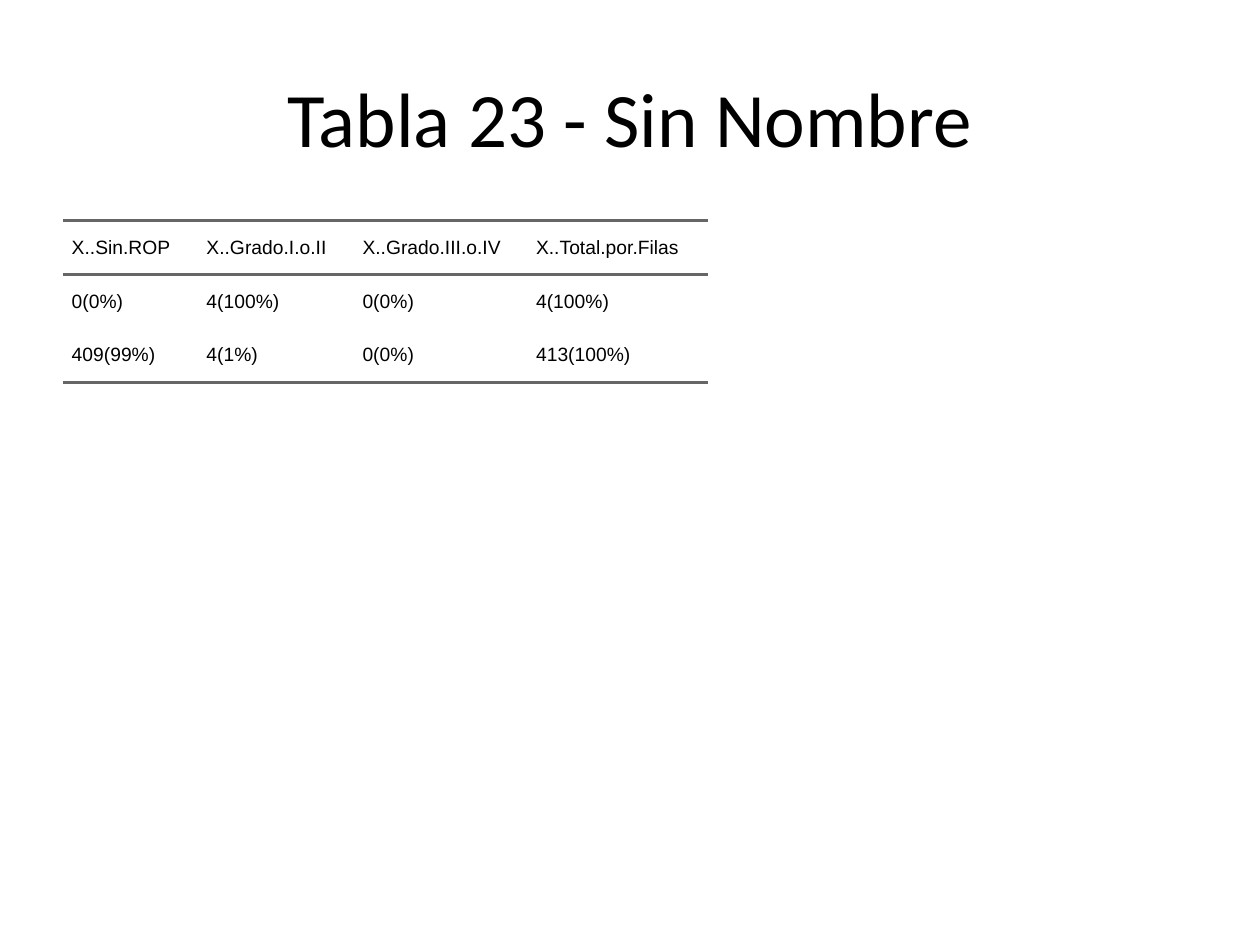
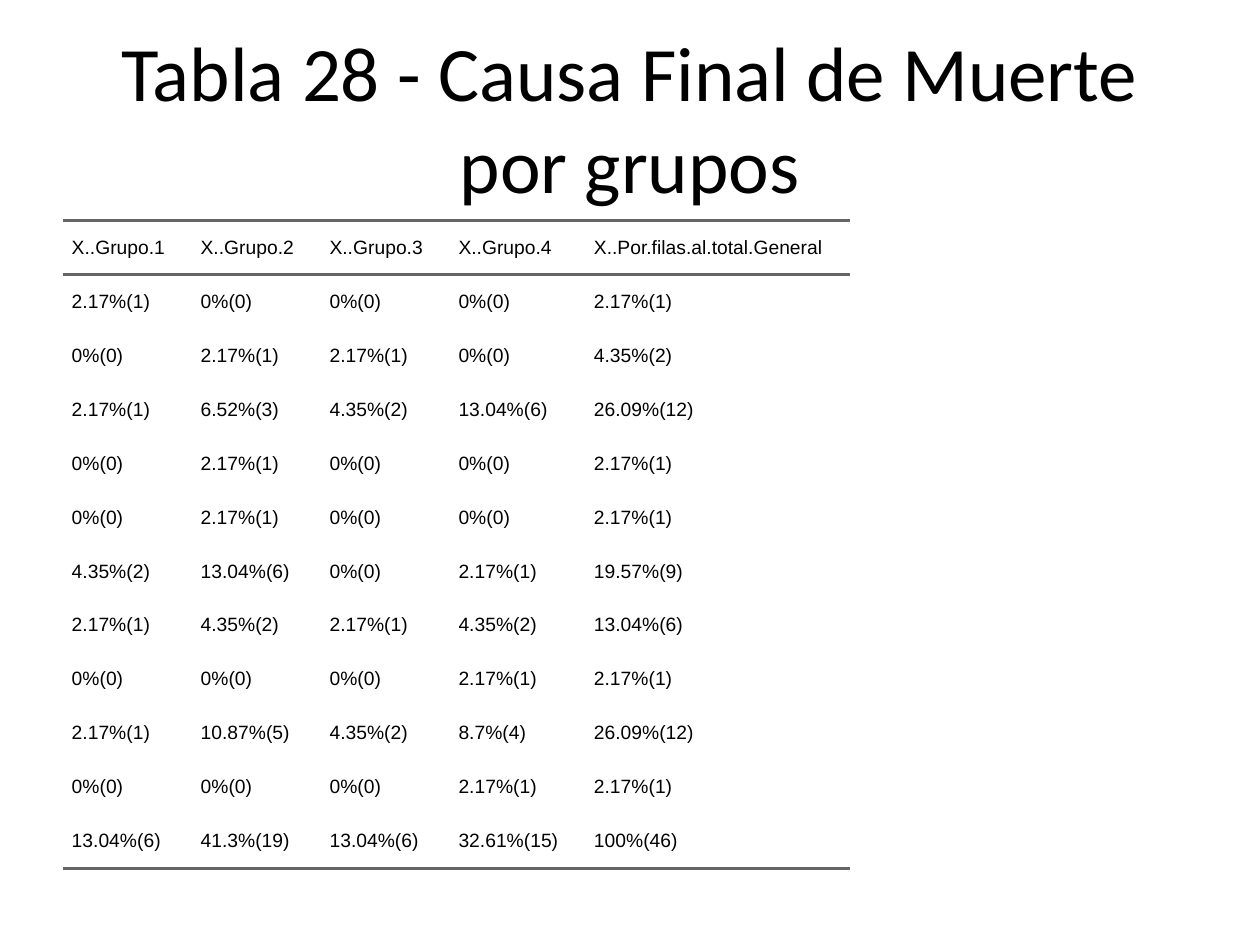
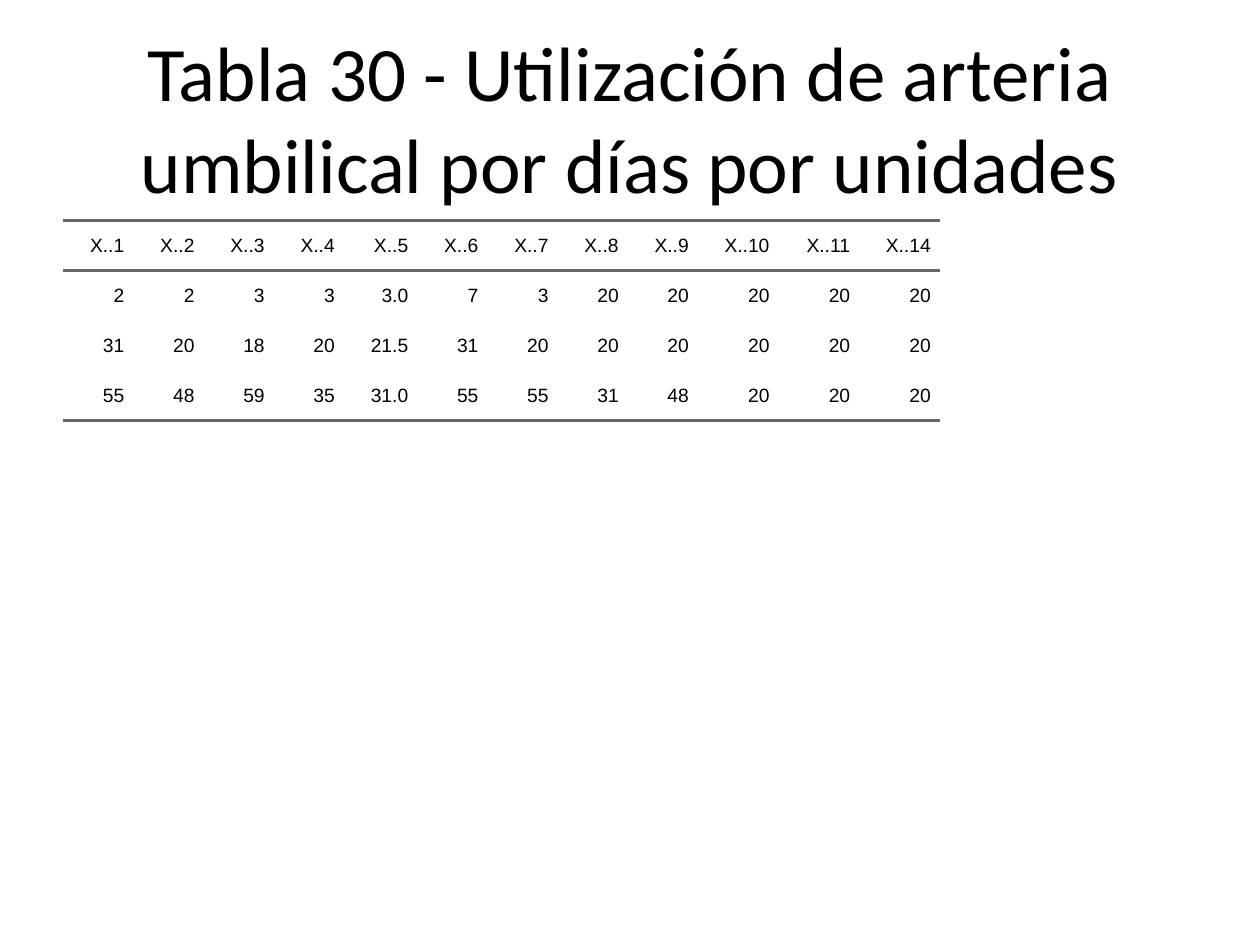
from pptx import Presentation
from pptx.dml.color import RGBColor
from pptx.enum.text import MSO_ANCHOR, PP_ALIGN
from pptx.oxml import parse_xml
from pptx.oxml.ns import nsdecls
from pptx.util import Pt

LEFT, CENTER, RIGHT = PP_ALIGN.LEFT, PP_ALIGN.CENTER, PP_ALIGN.RIGHT
MIDDLE = MSO_ANCHOR.MIDDLE
TITLE_ONLY = 5


def color(value):
    return RGBColor.from_string(value)


def write(frame, text, font="Arial", size=11, ink="000000", align=LEFT, space=0, margin=0):
    para = frame.paragraphs[0]
    para.alignment = align
    para.space_before = para.space_after = Pt(space)
    if margin:
        properties = para._p.get_or_add_pPr()
        for name in ("marL", "marR"):
            properties.set(name, str(Pt(margin)))
        properties.set("indent", "0")
    span = para.add_run()
    span.text = text
    span.font.name = font
    span.font.size = Pt(size)
    span.font.bold = False
    span.font.color.rgb = color(ink)


class Report:
    rule_color = "666666"
    rule_width = 2
    left, width = 36, 648
    title_top, title_height = 21.6, 90
    table_top, table_height = 126, 356.4

    def __init__(self):
        self.deck = Presentation()
        self.deck.slide_width, self.deck.slide_height = Pt(720), Pt(540)
        self.page = None

    def add_page(self, title):
        self.page = self.deck.slides.add_slide(self.deck.slide_layouts[TITLE_ONLY])
        box = self.page.shapes.title
        box.left, box.top = Pt(self.left), Pt(self.title_top)
        box.width, box.height = Pt(self.width), Pt(self.title_height)
        box.text_frame.word_wrap = True
        box.text_frame.vertical_anchor = MIDDLE
        write(box.text_frame, title, font="Calibri", size=44, align=CENTER)

    def add_borders(self, cell, ruled):
        properties = cell._tc.get_or_add_tcPr()
        solid = f'<a:solidFill><a:srgbClr val="{self.rule_color}"/></a:solidFill>'
        for index, side in enumerate("LRTB"):
            paint = solid if side in ruled else "<a:noFill/>"
            width = Pt(self.rule_width) if side in ruled else 0
            line = f'<a:ln{side} {nsdecls("a")} w="{width}">{paint}</a:ln{side}>'
            properties.insert(index, parse_xml(line))

    def add_table(self, rows, widths, row_height, align=LEFT):
        frame = self.page.shapes.add_table(
            len(rows), len(widths), Pt(self.left), Pt(self.table_top),
            Pt(self.width), Pt(self.table_height))
        table = frame.table
        table.horz_banding = False
        for column, width in zip(table.columns, widths):
            column.width = Pt(width)
        last = len(rows) - 1
        for index, values in enumerate(rows):
            table.rows[index].height = Pt(row_height)
            ruled = ("T" if index < 2 else "") + ("B" if index in (0, last) else "")
            for cell, text in zip(table.rows[index].cells, values):
                cell.margin_left = cell.margin_right = 0
                cell.margin_top = cell.margin_bottom = 0
                cell.vertical_anchor = MIDDLE
                cell.fill.background()
                self.add_borders(cell, ruled)
                write(cell.text_frame, text, align=align, space=5, margin=5)
        frame.width, frame.height = Pt(self.width), Pt(self.table_height)


retinopathy = [
    ["X..Sin.ROP", "X..Grado.I.o.II", "X..Grado.III.o.IV", "X..Total.por.Filas"],
    ["0(0%)", "4(100%)", "0(0%)", "4(100%)"],
    ["409(99%)", "4(1%)", "0(0%)", "413(100%)"],
]
causes = [
    ["X..Grupo.1", "X..Grupo.2", "X..Grupo.3", "X..Grupo.4", "X..Por.filas.al.total.General"],
    ["2.17%(1)", "0%(0)", "0%(0)", "0%(0)", "2.17%(1)"],
    ["0%(0)", "2.17%(1)", "2.17%(1)", "0%(0)", "4.35%(2)"],
    ["2.17%(1)", "6.52%(3)", "4.35%(2)", "13.04%(6)", "26.09%(12)"],
    ["0%(0)", "2.17%(1)", "0%(0)", "0%(0)", "2.17%(1)"],
    ["0%(0)", "2.17%(1)", "0%(0)", "0%(0)", "2.17%(1)"],
    ["4.35%(2)", "13.04%(6)", "0%(0)", "2.17%(1)", "19.57%(9)"],
    ["2.17%(1)", "4.35%(2)", "2.17%(1)", "4.35%(2)", "13.04%(6)"],
    ["0%(0)", "0%(0)", "0%(0)", "2.17%(1)", "2.17%(1)"],
    ["2.17%(1)", "10.87%(5)", "4.35%(2)", "8.7%(4)", "26.09%(12)"],
    ["0%(0)", "0%(0)", "0%(0)", "2.17%(1)", "2.17%(1)"],
    ["13.04%(6)", "41.3%(19)", "13.04%(6)", "32.61%(15)", "100%(46)"],
]
artery_days = [
    [f"X..{day}" for day in (*range(1, 12), 14)],
    "2 2 3 3 3.0 7 3 20 20 20 20 20".split(),
    "31 20 18 20 21.5 31 20 20 20 20 20 20".split(),
    "55 48 59 35 31.0 55 55 31 48 20 20 20".split(),
]

report = Report()
report.add_page("Tabla 23 - Sin Nombre")
report.add_table(retinopathy, [77, 89.2, 99.2, 103.4], 30.8)
report.add_page("Tabla 28 - Causa Final de Muerte por grupos")
report.add_table(causes, [73.7] * 3 + [77.4, 151.2], 30.85)
report.add_page("Tabla 30 - Utilización de arteria umbilical por días por unidades")
report.add_table(artery_days, [40.1] * 4 + [42] + [40.1] * 4 + [46.1] * 3, 28.6, align=RIGHT)
report.deck.save("out.pptx")
